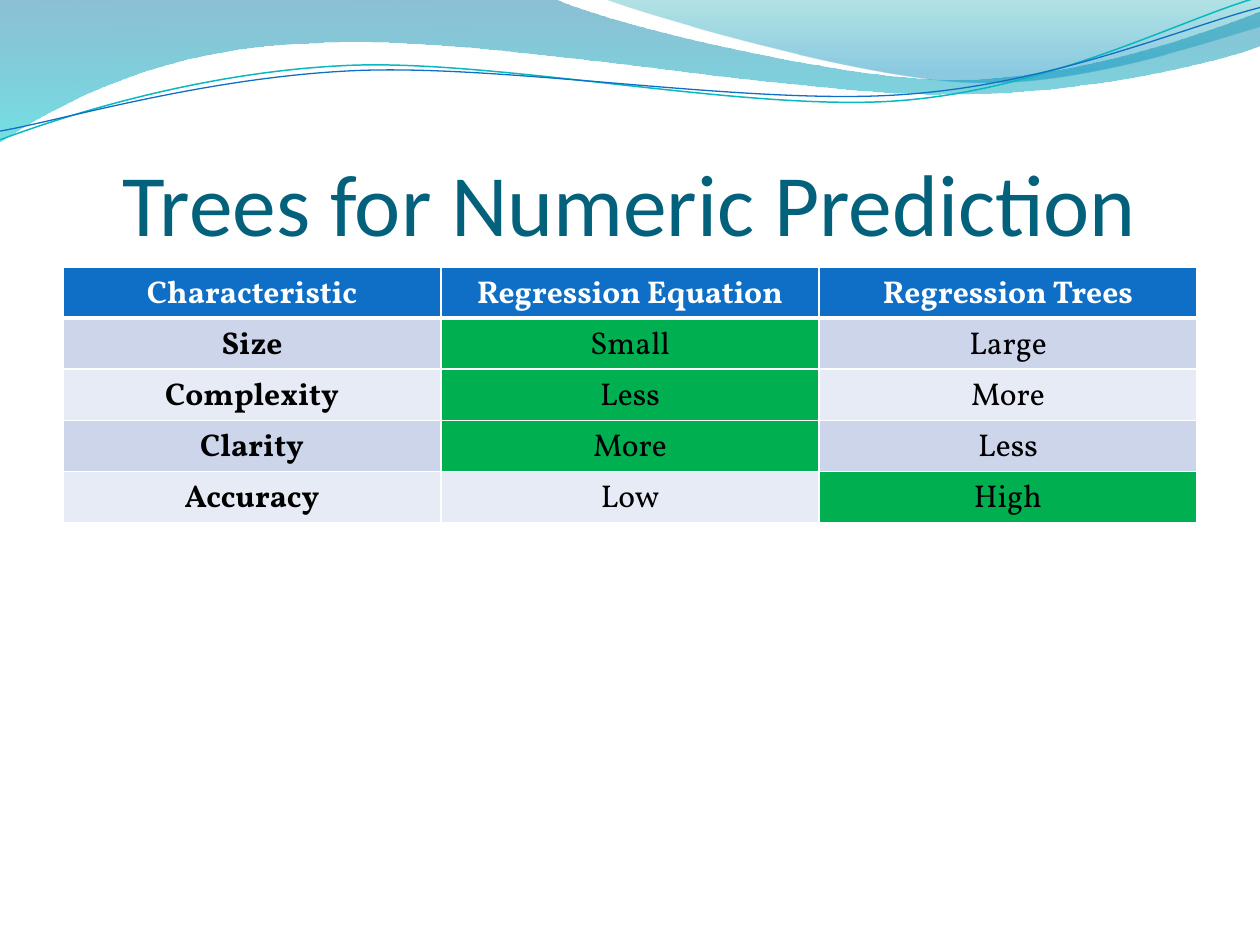
"""Build the slide on trees for numeric prediction."""
import pptx
import pptx.dml.color
import pptx.enum.text
import pptx.oxml
import pptx.oxml.ns
import pptx.util

Pt = pptx.util.Pt
qn = pptx.oxml.ns.qn
CENTER = pptx.enum.text.PP_ALIGN.CENTER


def tint(code):
    """Turn a hex string into a colour."""
    return pptx.dml.color.RGBColor.from_string(code)


def draw(start, steps, close):
    """Draw an outline whose steps hold one point (line) or three (curve)."""
    pen = slide.shapes.build_freeform(Pt(start[0]), Pt(start[1]), scale=1.0)
    spots = [(Pt(x), Pt(y)) for step in steps for x, y in step]
    pen.add_line_segments(spots, close=close)
    shape = pen.convert_to_shape()
    shape.shadow.inherit = False
    lines = shape.element.iter(qn("a:lnTo"))
    lines = iter(list(lines))
    for step in steps:
        group = [next(lines) for point in step]
        if len(group) == 3:
            curve = pptx.oxml.parse_xml(f'<a:cubicBezTo {pptx.oxml.ns.nsdecls("a")}/>')
            group[0].addprevious(curve)
            for line in group:
                curve.append(line[0])
                line.getparent().remove(line)
    return shape


deck = pptx.Presentation()
deck.slide_width, deck.slide_height = Pt(720), Pt(540)
slide = deck.slides.add_slide(deck.slide_layouts[6])

bands = [
    ((0, 0), [
        [(316.8, -0.7)],
        [(342.7, 12.2), (478.1, 45.4), (545.8, 45.4)],
        [(614.2, 45.4), (689.8, 18.7), (720, 6.5)],
        [(720.7, 25.9)],
        [(707.8, 31.7), (626.4, 54.7), (537.1, 54)],
        [(447.8, 54), (275, 20.2), (185, 24.5)],
        [(92.2, 25.9), (33.1, 59.8), (-0.7, 81.4)],
    ], [(0, "0074A1", 45), (1, "00C6CF", 55)]),
    ((344.9, -0.7), [
        [(366.5, 7.9), (491, 44.6), (553.7, 46.8)],
        [(616.3, 49.7), (691.9, 23), (720, 15.1)],
        [(720, 0)],
    ], [(0, "00A1A9", 30), (0.8, "008BBF", 45)]),
]
for start, steps, stops in bands:
    band = draw(start, steps, True)
    band.line.fill.background()
    band.fill.gradient()
    band.fill.gradient_angle = 270
    for stop, (place, code, alpha) in zip(band.fill.gradient_stops, stops):
        stop.position = place
        stop.color.rgb = tint(code)
    for color, (place, code, alpha) in zip(band.element.iter(qn("a:srgbClr")), stops):
        color.append(pptx.oxml.parse_xml(
            f'<a:alpha {pptx.oxml.ns.nsdecls("a")} val="{alpha * 1000}"/>'))

waves = [
    ((0, 79.9), [
        [(34.6, 67), (113.8, 41), (199.4, 37.4)],
        [(284.4, 33.8), (427, 64.1), (513.4, 57.6)],
        [(599.8, 51.1), (675.4, 10.8), (718.6, -1.4)],
    ], "0AB8BF", 0.85),
    ((0, 74.9), [
        [(33.8, 69.1), (118.1, 43.9), (203.8, 40.3)],
        [(290.2, 36.7), (429.8, 60.5), (516.2, 54)],
        [(601.9, 48.2), (677.5, 15.1), (720, 4.3)],
    ], "0F6FC6", 0.75),
]
for start, steps, code, width in waves:
    wave = draw(start, steps, False)
    wave.fill.background()
    wave.line.color.rgb = tint(code)
    wave.line.width = Pt(width)

title = slide.shapes.add_textbox(Pt(36), Pt(55.4), Pt(648), Pt(90))
frame = title.text_frame
frame.word_wrap = True
frame.vertical_anchor = pptx.enum.text.MSO_ANCHOR.BOTTOM
frame.margin_left = frame.margin_right = frame.margin_bottom = 0
frame.margin_top = Pt(3.6)
frame.text = "Trees for Numeric Prediction"
frame.paragraphs[0].alignment = CENTER
font = frame.paragraphs[0].runs[0].font
font.name, font.size = "Calibri", Pt(50)
font.color.rgb = tint("04617B")

rows = [
    ("Characteristic", "Regression Equation", "Regression Trees"),
    ("Size", "Small", "Large"),
    ("Complexity", "Less", "More"),
    ("Clarity", "More", "Less"),
    ("Accuracy", "Low", "High"),
]
best = {(1, 1), (2, 1), (3, 1), (4, 2)}
table = slide.shapes.add_table(5, 3, Pt(36), Pt(152.6), Pt(648), Pt(146)).table
for r, row in enumerate(rows):
    for c, text in enumerate(row):
        cell = table.cell(r, c)
        cell.text = text
        part = cell.text_frame.paragraphs[0]
        part.alignment = CENTER
        font = part.runs[0].font
        font.name, font.size = "Vollkorn", Pt(18)
        font.bold = r == 0 or c == 0
        font.color.rgb = tint("000000" if r else "FFFFFF")
        shade = "0F6FC6" if r == 0 else "CCD5EA" if r % 2 else "E7EBF5"
        cell.fill.solid()
        cell.fill.fore_color.rgb = tint("00B050" if (r, c) in best else shade)
        props = cell._tc.get_or_add_tcPr()
        for i, side in enumerate("LRTB"):
            thick = (r, side) in {(0, "B"), (1, "T")}
            props.insert(i, pptx.oxml.parse_xml(
                f'<a:ln{side} {pptx.oxml.ns.nsdecls("a")} w="{Pt(3 if thick else 1)}">'
                '<a:solidFill><a:srgbClr val="FFFFFF"/></a:solidFill>'
                f'</a:ln{side}>'))

deck.save("out.pptx")
